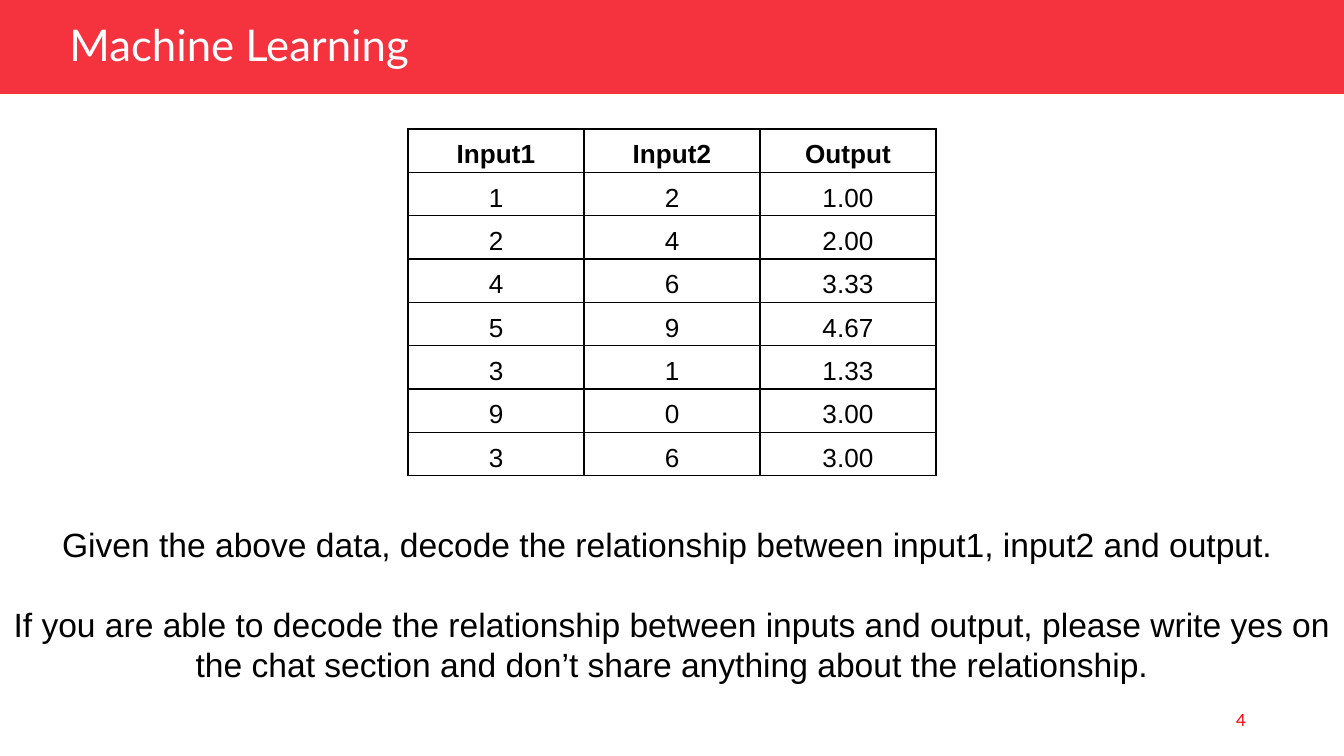
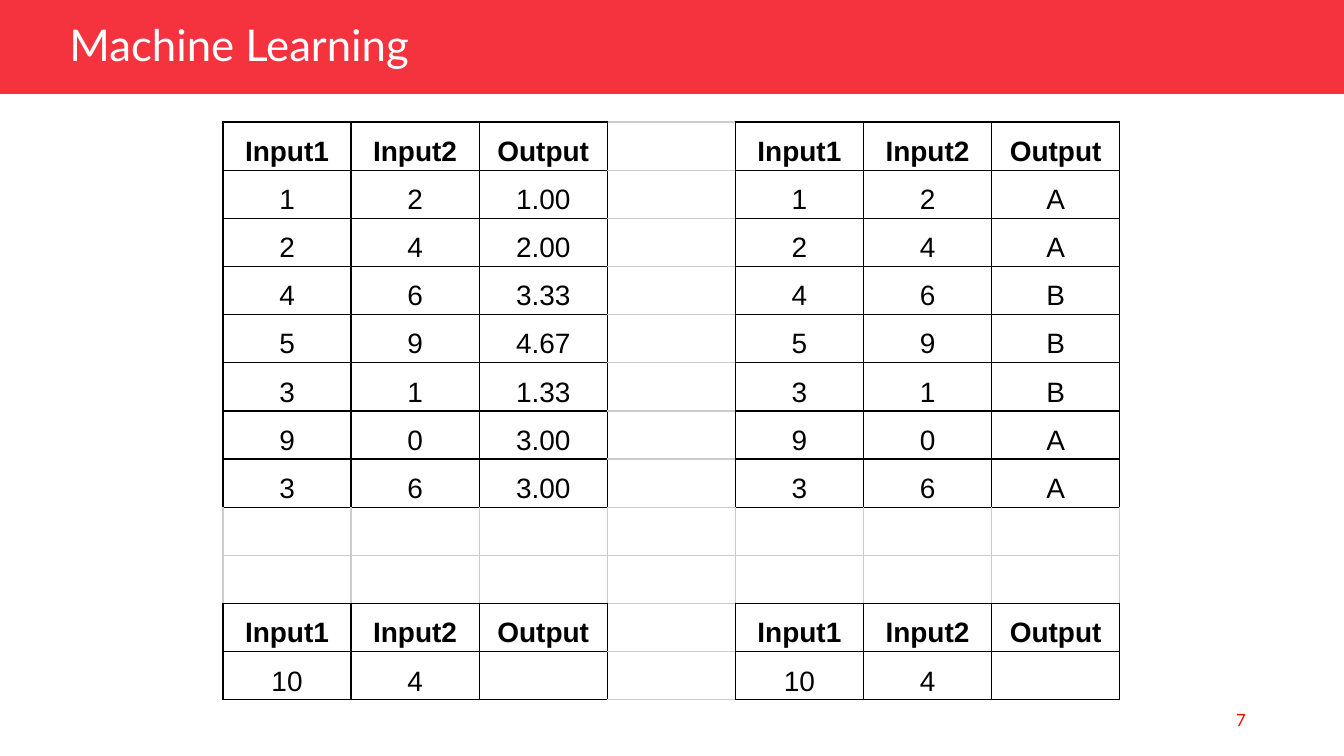
"""Build two Machine Learning slides with tables of inputs and outputs."""
from lxml import etree
from pptx import Presentation
from pptx import util as u
from pptx.dml.color import RGBColor
from pptx.enum import shapes, text
from pptx.oxml.ns import qn

RED = RGBColor(0xF5, 0x33, 0x3F)
PAGE = RGBColor(0xFF, 0, 0)
WHITE = RGBColor(0xFF, 0xFF, 0xFF)
BLACK = RGBColor(0, 0, 0)
GREY = RGBColor(0xCC, 0xCC, 0xCC)
SCALE = 914400 / 134.4
SIDES = {"L": (0, -1), "R": (0, 1), "T": (-1, 0), "B": (1, 0)}
LEFT, MID, RIGHT = text.PP_ALIGN.LEFT, text.PP_ALIGN.CENTER, text.PP_ALIGN.RIGHT


def px(*nums):
    return [u.Emu(round(n * SCALE)) for n in nums]


def write(par, words, name, size, color, align, **more):
    par.alignment = align
    for key, val in more.items():
        setattr(par, key, val)
    run = par.add_run()
    run.text = words
    font = {"name": name, "size": u.Pt(size), "bold": words in HEAD}
    for key, val in font.items():
        setattr(run.font, key, val)
    run.font.color.rgb = color


HEAD = ["Input1", "Input2", "Output"]
pairs = [(1, 2), (2, 4), (4, 6), (5, 9), (3, 1), (9, 0), (3, 6)]
means = ["1.00", "2.00", "3.33", "4.67", "1.33", "3.00", "3.00"]
known = [HEAD] + [[str(a), str(b), m] for (a, b), m in zip(pairs, means)]
both = [HEAD + [None] + HEAD]
for row, kind in zip(known[1:], "AABBBAA"):
    both.append(row + [None] + row[:2] + [kind])
ask = ["10", "4", ""]
both += [[None] * 7] * 2 + [both[0], ask + [None] + ask]

pages = [
    {"num": "4", "rows": known, "box": (408, 129, 528, 347), "size": 14},
    {"num": "7", "rows": both, "box": (223, 122, 897, 578), "size": 15},
]
notes = [
    "Given the above data, decode the relationship between input1, input2 and output. ",
    "If you are able to decode the relationship between inputs and output, please write yes on "
    "the chat section and don’t share anything about the relationship.",
]

prs = Presentation()
prs.slide_width, prs.slide_height = px(1344, 756)
lay = prs.slide_layouts[5]

for page in pages:
    slide = prs.slides.add_slide(lay)
    if page is pages[0]:
        band = slide.shapes.add_shape(shapes.MSO_SHAPE.RECTANGLE, *px(0, 0, 1344, 94))
        band.shadow.inherit = False
        band.fill.solid()
        band.fill.fore_color.rgb = RED
        band.line.fill.background()
        band.element.nvSpPr.cNvPr.id = 99
        lay.shapes.element.insert(2, band.element)

    title = slide.shapes.title
    title.left, title.top, title.width, title.height = px(56, 19, 630, 59)
    num = slide.shapes.add_textbox(*px(957, 700, 302, 40))
    for shape in (title, num):
        frame = shape.text_frame
        frame.word_wrap = True
        frame.auto_size = text.MSO_AUTO_SIZE.NONE
        frame.vertical_anchor = text.MSO_ANCHOR.MIDDLE
    write(title.text_frame.paragraphs[0], "Machine Learning", "Lato", 23.4, WHITE,
          LEFT, line_spacing=0.8)
    write(num.text_frame.paragraphs[0], page["num"], "Lato", 9, PAGE, RIGHT)

    rows = page["rows"]
    high, wide = len(rows), len(rows[0])
    box = px(*page["box"])
    table = slide.shapes.add_table(high, wide, *box).table
    table.first_row = table.horz_banding = False
    for col in table.columns:
        col.width = box[2] // wide
    for r, row in enumerate(rows):
        table.rows[r].height = box[3] // high
        for c, words in enumerate(row):
            cell = table.cell(r, c)
            cell.margin_left, cell.margin_right = px(4, 4)
            cell.margin_top, cell.margin_bottom = px(3, 3)
            cell.vertical_anchor = text.MSO_ANCHOR.BOTTOM
            if words:
                write(cell.text_frame.paragraphs[0], words, "Arial", page["size"],
                      BLACK, MID, line_spacing=1.15)
            props = cell._tc.get_or_add_tcPr()
            for side, (down, over) in SIDES.items():
                y, x = r + down, c + over
                near = rows[y][x] if 0 <= y < high and 0 <= x < wide else None
                tone = GREY if words is None and near is None else BLACK
                line = etree.SubElement(props, qn("a:ln" + side), w=str(u.Pt(0.75)))
                fill = etree.SubElement(line, qn("a:solidFill"))
                etree.SubElement(fill, qn("a:srgbClr"), val=str(tone))
            cell.fill.background()

    if page is pages[0]:
        frame = slide.shapes.add_textbox(*px(0, 511, 1344, 189)).text_frame
        frame.word_wrap = True
        for side in ("left", "right", "top", "bottom"):
            setattr(frame, "margin_" + side, u.Inches(0.1))
        write(frame.paragraphs[0], notes[0], "Arial", 18, BLACK, MID)
        write(frame.add_paragraph(), notes[1], "Arial", 18, BLACK, MID,
              space_before=u.Pt(21))

prs.save("out.pptx")
